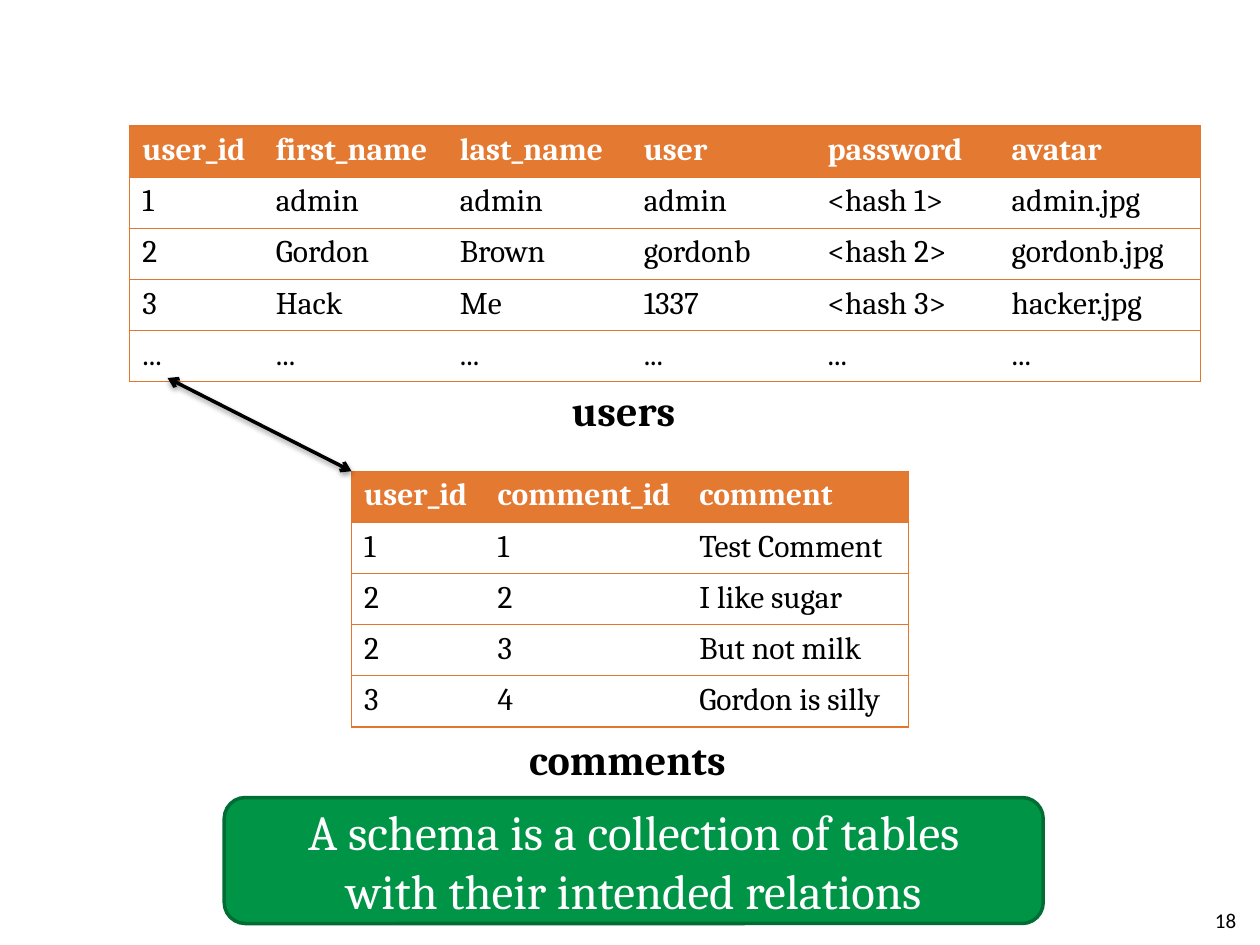
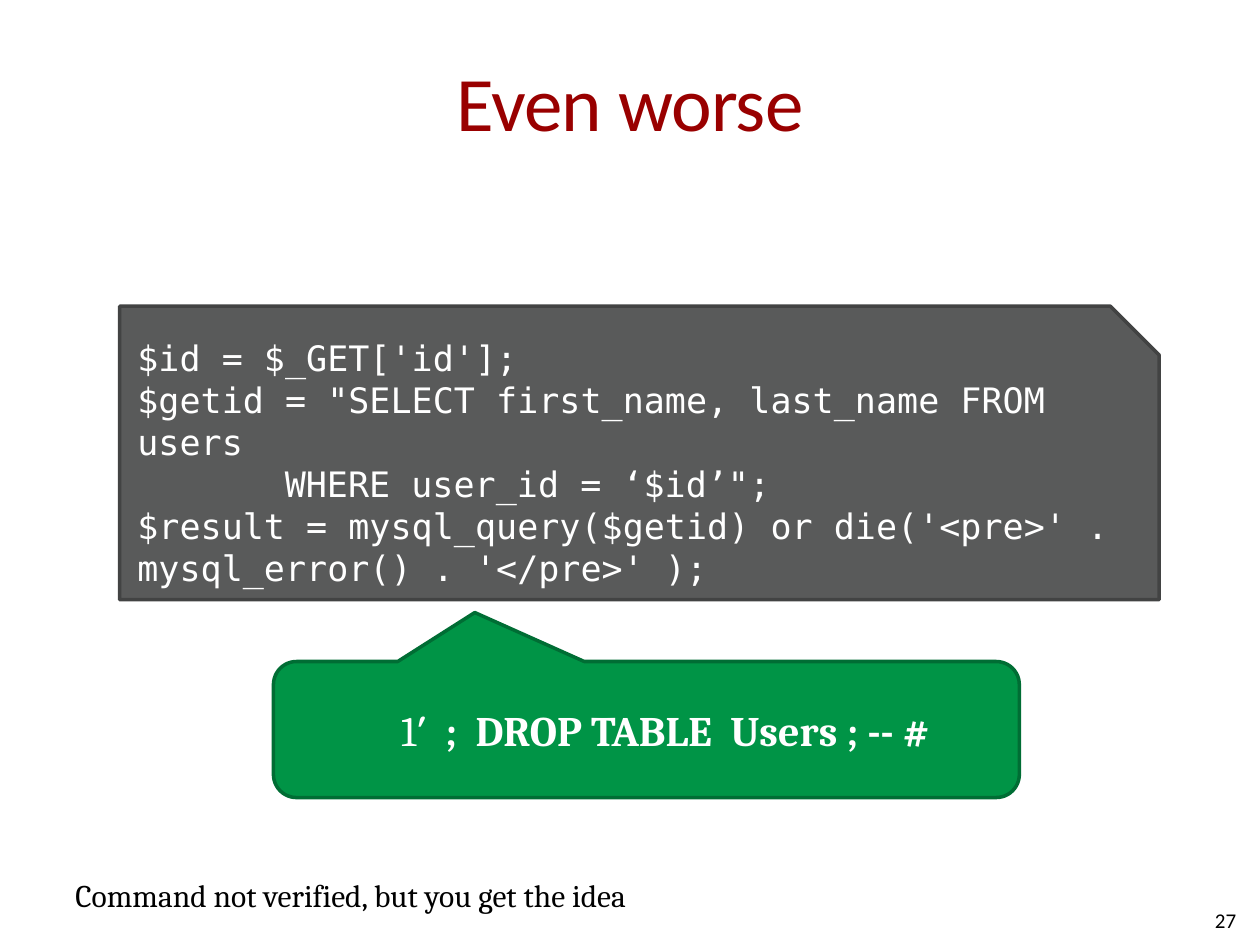
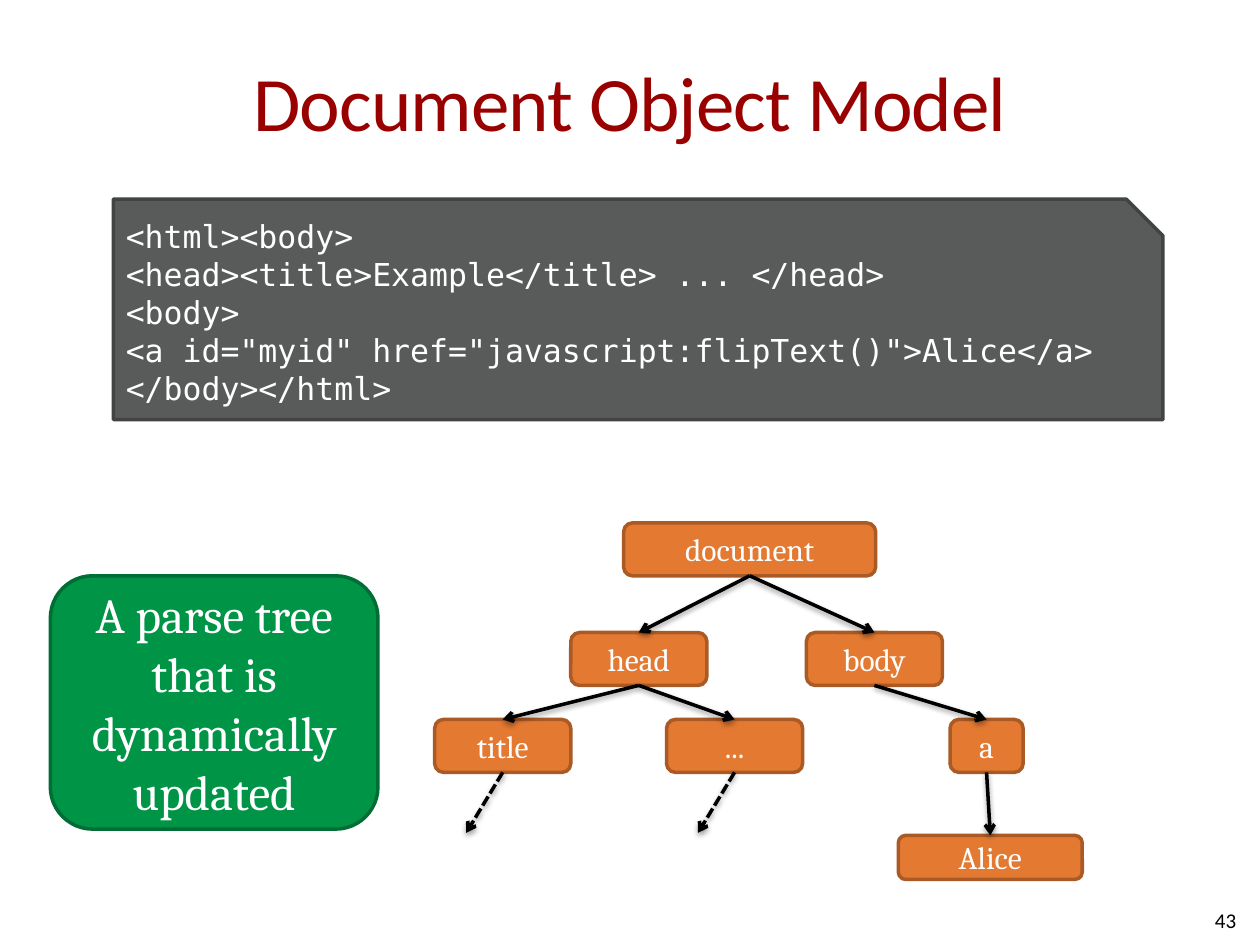
from lxml.etree import SubElement
from pptx import Presentation
from pptx.dml.color import RGBColor
from pptx.enum.dml import MSO_LINE
from pptx.enum.shapes import MSO_CONNECTOR, MSO_SHAPE
from pptx.enum.text import MSO_ANCHOR, MSO_AUTO_SIZE, PP_ALIGN
from pptx.oxml.ns import qn
from pptx.util import Emu, Pt

PX = 9144  # 100 px to the inch

COLOURS = {
    "black": "000000",
    "white": "FFFFFF",
    "title": "990000",
    "green": "009446",
    "green_edge": "006D34",
    "grey": "595A5A",
    "grey_edge": "424343",
    "orange": "E47932",
    "orange_edge": "A95A25",
    "grid": "E3752D",
}

# Text formats: font values plus a colour name
FORMATS = {
    "title": ({"name": "Calibri", "size": Pt(44)}, "title"),
    "number": ({"name": "Calibri", "size": Pt(12)}, "black"),
    "body": ({"name": "Cambria", "size": Pt(18), "bold": False}, "black"),
    "header": ({"name": "Cambria", "size": Pt(18), "bold": True}, "white"),
    "caption": ({"name": "Cambria", "size": Pt(24), "bold": True}, "black"),
    "node": ({"name": "Cambria", "size": Pt(18)}, "white"),
    "message": ({"name": "Cambria", "size": Pt(28)}, "white"),
    "input": ({"name": "Cambria", "size": Pt(24)}, "white"),
    "injection": ({"name": "Cambria", "size": Pt(24), "bold": True}, "white"),
    "query": ({"name": "DejaVu Sans Mono", "size": Pt(20)}, "white"),
    "markup": ({"name": "DejaVu Sans Mono", "size": Pt(18)}, "white"),
}


def px(*lengths):
    return [Emu(length * PX) for length in lengths]


def colour(name):
    return RGBColor.from_string(COLOURS[name])


# Text
def add_span(para, text, style):
    values, ink = FORMATS[style]
    for number, line in enumerate(text.split("\n")):
        if number:
            para.add_line_break()
        span = para.add_run()
        span.text = line
        for key, value in values.items():
            setattr(span.font, key, value)
        span.font.color.rgb = colour(ink)


def write(frame, paragraphs, style, align=PP_ALIGN.LEFT):
    for number, text in enumerate(paragraphs):
        para = frame.add_paragraph() if number else frame.paragraphs[0]
        para.alignment = align
        add_span(para, text, style)


def add_text(page, place, text, style, align=PP_ALIGN.LEFT, **frame_values):
    frame = page.shapes.add_textbox(*px(*place)).text_frame
    values = {"word_wrap": True, **frame_values}
    for key, value in values.items():
        setattr(frame, key, value)
    write(frame, [text], style, align)
    return frame


def add_title(page, text):
    frame = add_text(page, (50, 17, 900, 125), text, "title", PP_ALIGN.CENTER,
                     vertical_anchor=MSO_ANCHOR.MIDDLE, margin_left=0, margin_right=0)
    for span in frame.paragraphs[0].runs:
        span.font._element.set("spc", "-50")


def add_page_number(page, number):
    add_text(page, (758, 710, 233, 40), str(number), "number", PP_ALIGN.RIGHT,
             vertical_anchor=MSO_ANCHOR.MIDDLE)


def add_label(page, place, text, style):
    add_text(page, place, text, style, word_wrap=False,
             auto_size=MSO_AUTO_SIZE.SHAPE_TO_FIT_TEXT)


# Shapes
def add_box(page, kind, place, fill, anchor=MSO_ANCHOR.MIDDLE):
    box = page.shapes.add_shape(kind, *px(*place))
    box.shadow.inherit = False
    box.fill.solid()
    box.fill.fore_color.rgb = colour(fill)
    box.line.color.rgb = colour(fill + "_edge")
    box.line.width = Pt(2)
    box.text_frame.word_wrap = True
    box.text_frame.vertical_anchor = anchor
    return box


def add_rounded(page, place, text, fill, style):
    box = add_box(page, MSO_SHAPE.ROUNDED_RECTANGLE, place, fill)
    write(box.text_frame, [text], style, PP_ALIGN.CENTER)
    return box


def add_code(page, place, lines, style, left=10, top=5):
    box = add_box(page, MSO_SHAPE.SNIP_1_RECTANGLE, place, "grey", MSO_ANCHOR.TOP)
    box.text_frame.margin_left, box.text_frame.margin_top = px(left, top)
    write(box.text_frame, lines, style)


def add_arrow(page, start=(0, 0), end=(0, 0), ends=("tailEnd",), dashed=False):
    arrow = page.shapes.add_connector(MSO_CONNECTOR.STRAIGHT, *px(*start, *end))
    arrow.line.color.rgb = colour("black")
    arrow.line.width = Pt(2)
    if dashed:
        arrow.line.dash_style = MSO_LINE.SQUARE_DOT
    properties = arrow._element.spPr
    for name in ends:
        SubElement(properties.find(qn("a:ln")), qn("a:" + name), type="arrow")
    # Soft shadow below the line
    effects = SubElement(properties, qn("a:effectLst"))
    shadow = SubElement(effects, qn("a:outerShdw"), blurRad="40000", dist="20000",
                        dir="5400000", rotWithShape="0")
    ink = SubElement(shadow, qn("a:srgbClr"), val=COLOURS["black"])
    SubElement(ink, qn("a:alpha"), val="38000")
    return arrow


# Tables
def set_borders(cell, visible):
    properties = cell._tc.get_or_add_tcPr()
    for side in ("L", "R", "T", "B"):
        line = SubElement(properties, qn("a:ln" + side), w=str(Pt(0.75)))
        if side in visible:
            fill = SubElement(line, qn("a:solidFill"))
            SubElement(fill, qn("a:srgbClr"), val=COLOURS["grid"])
        else:
            SubElement(line, qn("a:noFill"))


def add_data_table(page, left, top, widths, rows):
    place = px(left, top, sum(widths), 203)
    table = page.shapes.add_table(len(rows), len(widths), *place).table
    table.horz_banding = False
    for column, width in zip(table.columns, px(*widths)):
        column.width = width
    for row_index, row in enumerate(rows):
        for column_index, text in enumerate(row):
            cell = table.cell(row_index, column_index)
            sides = "TB"
            if column_index == 0:
                sides += "L"
            if column_index == len(widths) - 1:
                sides += "R"
            set_borders(cell, sides)
            if row_index:
                cell.fill.background()
            else:
                cell.fill.solid()
                cell.fill.fore_color.rgb = colour("orange")
            write(cell.text_frame, [text], "body" if row_index else "header")


# Slides
def build_schema(page):
    add_page_number(page, 18)
    add_rounded(page, (178, 633, 650, 100),
                "A schema is a collection of tables\nwith their intended relations",
                "green", "message")
    add_data_table(page, 103, 100, [106, 146, 146, 146, 146, 160], [
        ["user_id", "first_name", "last_name", "user", "password", "avatar"],
        ["1", "admin", "admin", "admin", "<hash 1>", "admin.jpg"],
        ["2", "Gordon", "Brown", "gordonb", "<hash 2>", "gordonb.jpg"],
        ["3", "Hack", "Me", "1337", "<hash 3>", "hacker.jpg"],
        ["..."] * 6,
    ])
    add_label(page, (444, 300, 105, 50), "users", "caption")
    add_data_table(page, 279, 374, [106, 160, 176], [
        ["user_id", "comment_id", "comment"],
        ["1", "1", "Test Comment"],
        ["2", "2", "I like sugar"],
        ["2", "3", "But not milk"],
        ["3", "4", "Gordon is silly"],
    ])
    add_label(page, (410, 577, 181, 50), "comments", "caption")
    add_arrow(page, (133, 300), (279, 374), ends=("headEnd", "tailEnd"))


def build_injection(page):
    add_title(page, "Even worse")
    add_page_number(page, 27)
    add_code(page, (95, 243, 825, 233), [
        "$id = $_GET['id'];",
        "$getid = \"SELECT first_name, last_name FROM users \n\t    WHERE user_id = ‘$id’\";",
        "$result = mysql_query($getid) or die('<pre>' . mysql_error() . '</pre>' );",
    ], "query", left=14)
    callout = add_box(page, MSO_SHAPE.ROUNDED_RECTANGULAR_CALLOUT,
                      (217, 525, 592, 108), "green")
    for index, value in enumerate((-0.23, -0.86, 0.17)):
        callout.adjustments[index] = value
    callout.text_frame.margin_left = px(96)[0]
    write(callout.text_frame, ["1"], "input")
    add_span(callout.text_frame.paragraphs[0], "′  ;  DROP TABLE  Users ; -- #", "injection")
    add_label(page, (50, 690, 484, 40), "Command not verified, but you get the idea", "body")


def build_document_tree(page):
    add_title(page, "Document Object Model")
    add_page_number(page, 43)
    add_code(page, (90, 158, 833, 175), [
        "<html><body>",
        "<head><title>Example</title> ... </head>",
        "<body>",
        '<a id="myid" href="javascript:flipText()">Alice</a>',
        "</body></html>",
    ], "markup", top=0)
    add_rounded(page, (40, 457, 260, 201), "A parse tree that is dynamically updated",
                "green", "message")

    # Tree nodes, then the arrows between them
    places = {
        "document": (495, 415, 200, 42),
        "head": (453, 502, 108, 42),
        "body": (640, 502, 108, 42),
        "title": (345, 571, 108, 42),
        "...": (529, 571, 108, 42),
        "a": (754, 571, 58, 42),
        "Alice": (713, 663, 146, 35),
    }
    nodes = {name: add_rounded(page, place, name, "orange", "node")
             for name, place in places.items()}
    branches = [("document", "head"), ("document", "body"), ("head", "title"),
                ("head", "..."), ("body", "a"), ("a", "Alice")]
    for parent, child in branches:
        arrow = add_arrow(page)
        arrow.begin_connect(nodes[parent], 2)
        arrow.end_connect(nodes[child], 0)
    for name in ("title", "..."):
        left, top, width, height = places[name]
        middle, bottom = left + width // 2, top + height
        add_arrow(page, (middle, bottom), (middle - 29, bottom + 48), dashed=True)


def main():
    deck = Presentation()
    deck.slide_width, deck.slide_height = px(1000, 750)
    for build in (build_schema, build_injection, build_document_tree):
        build(deck.slides.add_slide(deck.slide_layouts[6]))
    deck.save("out.pptx")


if __name__ == "__main__":
    main()
